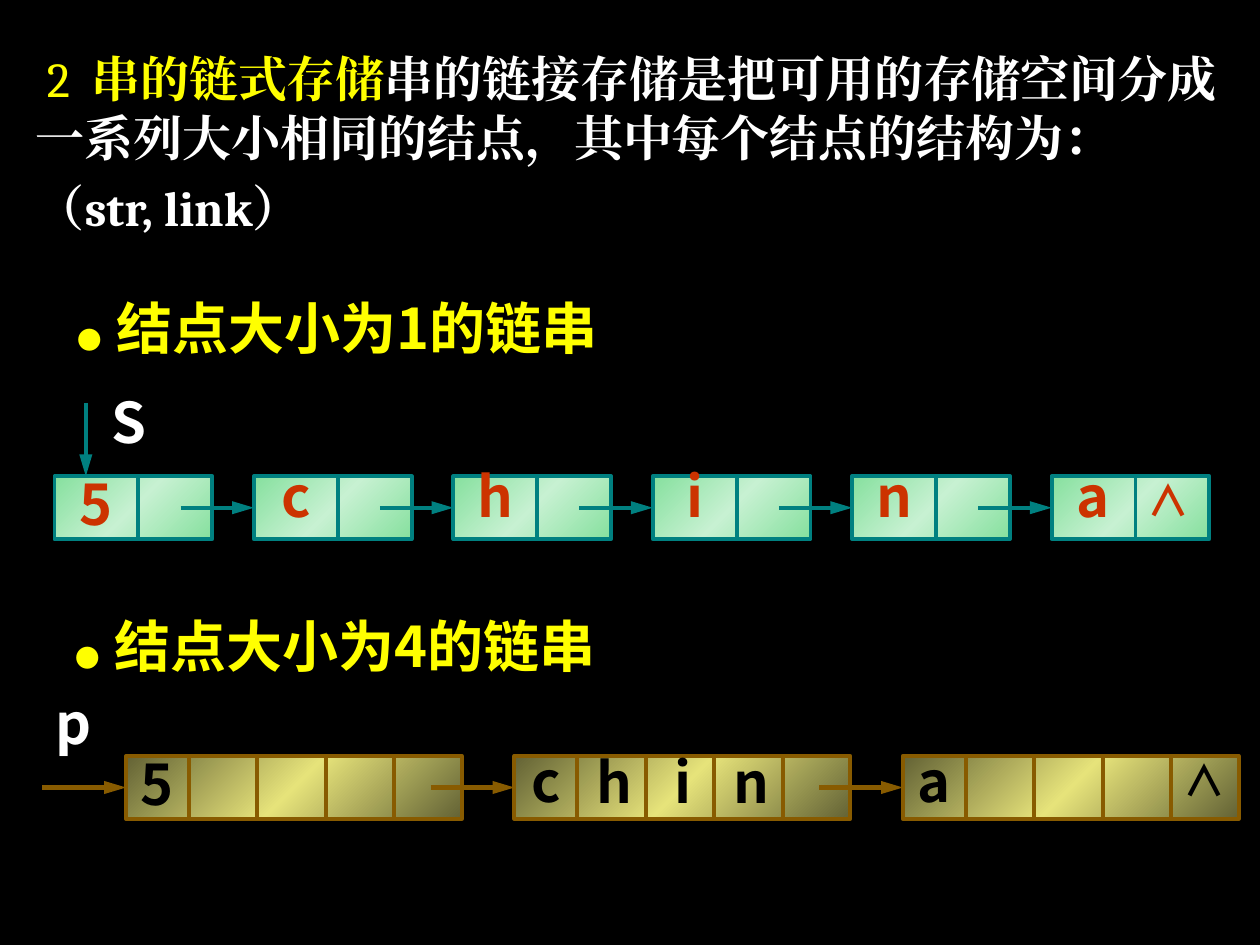
from lxml import etree
from pptx import Presentation
from pptx import util as u
from pptx.dml.color import RGBColor
from pptx.enum import shapes, text
from pptx.oxml import parse_xml
from pptx.oxml.ns import nsdecls, qn

SANS, SERIF = "Noto Sans CJK SC", "Cambria"
YELLOW, WHITE, BLACK = "FFFF00", "FFFFFF", "000000"
GREEN = {"line": "008080", "edge": "86E09E", "middle": "C7F1D2", "ink": "CC3300"}
GOLD = {"line": "885B00", "edge": "636235", "middle": "E6E37A", "ink": BLACK}
NODE_H = 1.27


def rgb(value):
    return RGBColor.from_string(value)


def style_font(font, name, size, color, bold=True):
    font.name, font.size, font.bold = name, u.Pt(size), bold
    font.color.rgb = rgb(color)


def add_run(p, words, name, size, color, bold=True):
    r = p.add_run()
    r.text = words
    style_font(r.font, name, size, color, bold)
    etree.SubElement(r.font._element, qn("a:ea"), typeface=name)
    return r


def add_text(slide, box, spacing=1.0):
    """Empty wrapped text box; returns its frame and first paragraph."""
    tf = slide.shapes.add_textbox(*map(u.Cm, box)).text_frame
    tf.word_wrap = True
    p = tf.paragraphs[0]
    p.line_spacing = spacing
    return tf, p


def add_letter(slide, letter, box, color, spacing, size=32):
    _, p = add_text(slide, box, spacing)
    p.alignment = text.PP_ALIGN.CENTER
    add_run(p, letter, SANS, size, color)


def add_line(slide, x1, y1, x2, y2, color, arrow=False):
    c = slide.shapes.add_connector(
        shapes.MSO_CONNECTOR.STRAIGHT, *map(u.Cm, (x1, y1, x2, y2)))
    c.line.color.rgb = rgb(color)
    c.line.width = u.Pt(2.5 if arrow else 2.25)
    if arrow:
        etree.SubElement(c.line._get_or_add_ln(), qn("a:tailEnd"),
                         type="triangle", w="med", len="lg")
    etree.SubElement(c._element.spPr, qn("a:effectLst"))
    return c


def add_node(slide, x, y, width, dividers, theme):
    """Gradient rectangle split into cells at the given offsets."""
    sp = slide.shapes.add_shape(
        shapes.MSO_SHAPE.RECTANGLE, *map(u.Cm, (x, y, width, NODE_H)))
    sp.shadow.inherit = False
    sp.line.color.rgb = rgb(theme["line"])
    sp.line.width = u.Pt(2.25)
    stops = "".join(
        f'<a:gs pos="{pos}"><a:srgbClr val="{theme[part]}"/></a:gs>'
        for pos, part in ((0, "edge"), (50000, "middle"), (100000, "edge")))
    sp._element.spPr.find(qn("a:prstGeom")).addnext(parse_xml(
        f'<a:gradFill {nsdecls("a")} rotWithShape="1"><a:gsLst>{stops}</a:gsLst>'
        '<a:lin ang="2700000" scaled="1"/></a:gradFill>'))
    for offset in dividers:
        add_line(slide, x + offset, y, x + offset, y + NODE_H, theme["line"])
    return sp


def add_chain(slide, box, count, pitch, dividers, link, theme):
    """Row of equal nodes, each linked to the next; returns the nodes."""
    x, y, width = box
    nodes = [add_node(slide, x + i * pitch, y, width, dividers, theme)
             for i in range(count)]
    middle = y + NODE_H / 2
    for i, node in enumerate(nodes[1:]):
        start = x + i * pitch + link
        c = add_line(slide, start, middle, x + (i + 1) * pitch, middle,
                     theme["line"], arrow=True)
        c.end_connect(node, 1)
    return nodes


def add_intro(slide, box):
    body = slide.placeholders[1]
    body.left, body.top, body.width, body.height = map(u.Cm, box)
    tf = body.text_frame
    tf.auto_size = text.MSO_AUTO_SIZE.NONE
    paragraphs = [tf.paragraphs[0], tf.add_paragraph()]
    for p, indent in zip(paragraphs, (0.22, 0)):
        p.space_before = u.Pt(6.5)
        pPr = p._p.get_or_add_pPr()
        pPr.set("marL", str(u.Cm(0.47)))
        pPr.set("indent", str(u.Cm(indent)))
        etree.SubElement(pPr, qn("a:buNone"))
    p = paragraphs[0]
    number = add_run(p, "2 ", SERIF, 28, YELLOW, bold=False)
    number.font._element.set("spc", "300")
    add_run(p, "串的链式存储", SERIF, 28, YELLOW)
    add_run(p, "串的链接存储是把可用的存储空间分成一系列大小相同的结点，"
               "其中每个结点的结构为：", SERIF, 28, WHITE)
    add_run(paragraphs[1], "（str, link）", SERIF, 28, WHITE)


def add_heading(slide, words, box):
    tf, p = add_text(slide, box, 1.55)
    tf.vertical_anchor = text.MSO_ANCHOR.MIDDLE
    for part, size in (("●", 14), (" ", 36), (words, 32)):
        add_run(p, part, SANS, size, YELLOW)


def add_single_chain(slide, x, y):
    """One character per node."""
    pitch, divider = 4.02, 1.69
    add_chain(slide, (x, y, 3.18), 6, pitch, [divider], 2.54, GREEN)
    for i, letter in enumerate("5china"):
        rise, spacing = (0.21, 0.85) if i else (0, 0.8)
        add_letter(slide, letter, (x + i * pitch + 0.21, y - rise, 1.27, 1.4),
                   GREEN["ink"], spacing)
    add_letter(slide, "∧", (x + 5 * pitch + divider, y, 1.27, 1.12),
               GREEN["ink"], 0.85, 24)
    # Head pointer
    add_line(slide, x + 0.63, y - 1.48, x + 0.63, y, GREEN["line"], arrow=True)
    add_letter(slide, "S", (x + 0.86, y - 1.7, 1.27, 1.4), WHITE, 0.85)


def add_quad_chain(slide, x, y):
    """Four characters per node."""
    pitch, cell = 7.83, 1.38
    dividers = [1.27 + cell * i for i in range(4)]
    nodes = add_chain(slide, (x, y, 6.77), 3, pitch, dividers, 6.14, GOLD)
    for i, letter in enumerate("5ca"):
        add_letter(slide, letter, (x + i * pitch, y, 1.27, 1.27),
                   GOLD["ink"], 0.75 if i else 0.8)
    for offset, letter in zip(dividers, "hin"):
        add_letter(slide, letter, (x + pitch + offset, y - 0.43, 1.48, 1.75),
                   GOLD["ink"], 1.1)
    add_letter(slide, "∧", (x + 2 * pitch + dividers[-1], y, 1.27, 1.12),
               GOLD["ink"], 0.85, 24)
    # Head pointer
    middle = y + NODE_H / 2
    c = add_line(slide, x - 1.69, middle, x, middle, GOLD["line"], arrow=True)
    c.end_connect(nodes[0], 1)
    add_letter(slide, "p", (x - 1.69, y - 1.48, 1.27, 1.6), WHITE, 1.0)


def main():
    prs = Presentation()
    prs.slide_width, prs.slide_height = u.Cm(25.4), u.Cm(19.05)
    slide = prs.slides.add_slide(prs.slide_layouts[1])
    slide.background.fill.solid()
    slide.background.fill.fore_color.rgb = rgb(BLACK)
    title = slide.shapes.title._element
    title.getparent().remove(title)

    add_intro(slide, (0, 0.85, 25.4, 19.05))
    add_heading(slide, "结点大小为1的链串", (1.31, 4.52, 20.96, 3.18))
    add_single_chain(slide, 1.1, 9.6)
    add_heading(slide, "结点大小为4的链串", (1.27, 11.22, 16.3, 2.62))
    add_quad_chain(slide, 2.54, 15.24)
    prs.save("out.pptx")


if __name__ == "__main__":
    main()
